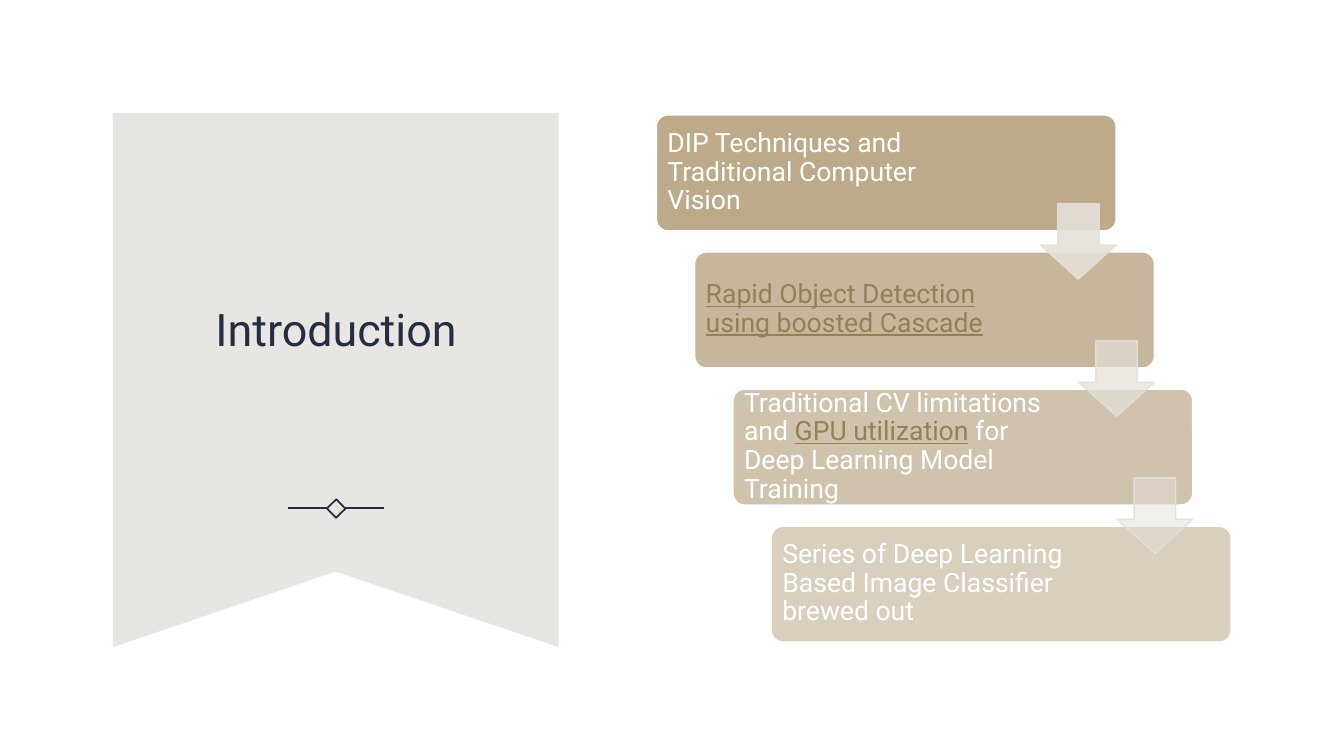
from pptx import Presentation, util as u
from pptx.dml.color import RGBColor
from pptx.enum import shapes, text
from pptx.oxml import ns, xmlchemy

PX = 9144
NAVY, TAN, STONE, LINK, WHITE = "242D41", "B5A17E", "E8E6E2", "928159", "FFFFFF"
ARROW = "E5E0D8"


def px(*lengths):
    return [u.Emu(length * PX) for length in lengths]


def paint(fill, colour, opacity=100):
    fill.solid()
    fill.fore_color.rgb = RGBColor.from_string(colour)
    if opacity < 100:
        alpha = xmlchemy.OxmlElement("a:alpha")
        alpha.set("val", str(opacity * 1000))
        fill._xPr.find(".//" + ns.qn("a:srgbClr")).append(alpha)


deck = Presentation()
deck.slide_width, deck.slide_height = px(1333, 750)
slide = deck.slides.add_slide(deck.slide_layouts[5])
paint(slide.background.fill, WHITE)

outline = slide.shapes.build_freeform(112, 112, scale=PX)
outline.add_line_segments([(554, 112), (554, 642), (333, 567), (112, 642)], close=True)
ribbon = outline.convert_to_shape()
ribbon.shadow.inherit = False
paint(ribbon.fill, STONE)
ribbon.line.fill.background()

title = slide.shapes.title
title._element.addprevious(ribbon._element)
title.left, title.top, title.width, title.height = px(156, 181, 355, 285)
title.text_frame.text = "Introduction"
title.text_frame.auto_size = text.MSO_AUTO_SIZE.NONE
title.text_frame.vertical_anchor = text.MSO_ANCHOR.MIDDLE
heading = title.text_frame.paragraphs[0]
heading.alignment = text.PP_ALIGN.CENTER
heading.line_spacing = 1.1
heading.runs[0].font.size = u.Pt(32)
heading.runs[0].font.name = "Roboto"
paint(heading.runs[0].font.fill, NAVY)

diamond = slide.shapes.add_shape(shapes.MSO_SHAPE.RECTANGLE, *px(327, 498, 13, 13))
diamond.rotation = 316
diamond.shadow.inherit = False
diamond.fill.background()
paint(diamond.line.fill, NAVY)
diamond.line.width = u.Pt(1.25)
for start, end in [(286, 324), (342, 381)]:
    rule = slide.shapes.add_connector(shapes.MSO_CONNECTOR.STRAIGHT, *px(start, 504, end, 504))
    paint(rule.line.fill, NAVY)
    rule.line.width = u.Pt(1.25)
    rule._element.spPr.append(xmlchemy.OxmlElement("a:effectLst"))

steps = [
    (90, 322, [("DIP Techniques and Traditional Computer Vision", False)]),
    (77, 336, [("Rapid Object Detection using boosted Cascade", True)]),
    (63, 337, [("Traditional CV limitations and ", False), ("GPU utilization", True),
               (" for Deep Learning Model Training", False)]),
    (50, 336, [("Series of Deep Learning Based Image Classifier brewed out", False)]),
]
for index, (opacity, width, wording) in enumerate(steps):
    left, top = 651 + 38 * index, 114 + 136 * index
    card = slide.shapes.add_shape(shapes.MSO_SHAPE.ROUNDED_RECTANGLE, *px(left, top, 456, 115))
    card.adjustments[0] = 0.1
    card.shadow.inherit = False
    paint(card.fill, TAN, opacity)
    paint(card.line.fill, WHITE)
    card.line.width = u.Pt(1)

    caption = slide.shapes.add_textbox(*px(left + 3, top + 3, width, 108)).text_frame
    caption.word_wrap = True
    caption.vertical_anchor = text.MSO_ANCHOR.MIDDLE
    caption.margin_left, caption.margin_top, caption.margin_right, caption.margin_bottom = px(8, 8, 8, 8)
    sentence = caption.paragraphs[0]
    sentence.line_spacing = 0.9
    for words, underlined in wording:
        phrase = sentence.add_run()
        phrase.text = words
        phrase.font.size = u.Pt(19)
        phrase.font.name = "Roboto"
        phrase.font.underline = underlined
        paint(phrase.font.fill, LINK if underlined else WHITE)

for index, opacity in enumerate([90, 70, 50]):
    arrow = slide.shapes.add_shape(
        shapes.MSO_SHAPE.DOWN_ARROW, *px(1032 + 38 * index, 202 + 136 * index, 75, 75))
    arrow.adjustments[0], arrow.adjustments[1] = 0.55, 0.45
    arrow.shadow.inherit = False
    paint(arrow.fill, ARROW, opacity)
    arrow.line.width = u.Pt(1)
    paint(arrow.line.fill, ARROW, 90)

deck.save("out.pptx")
